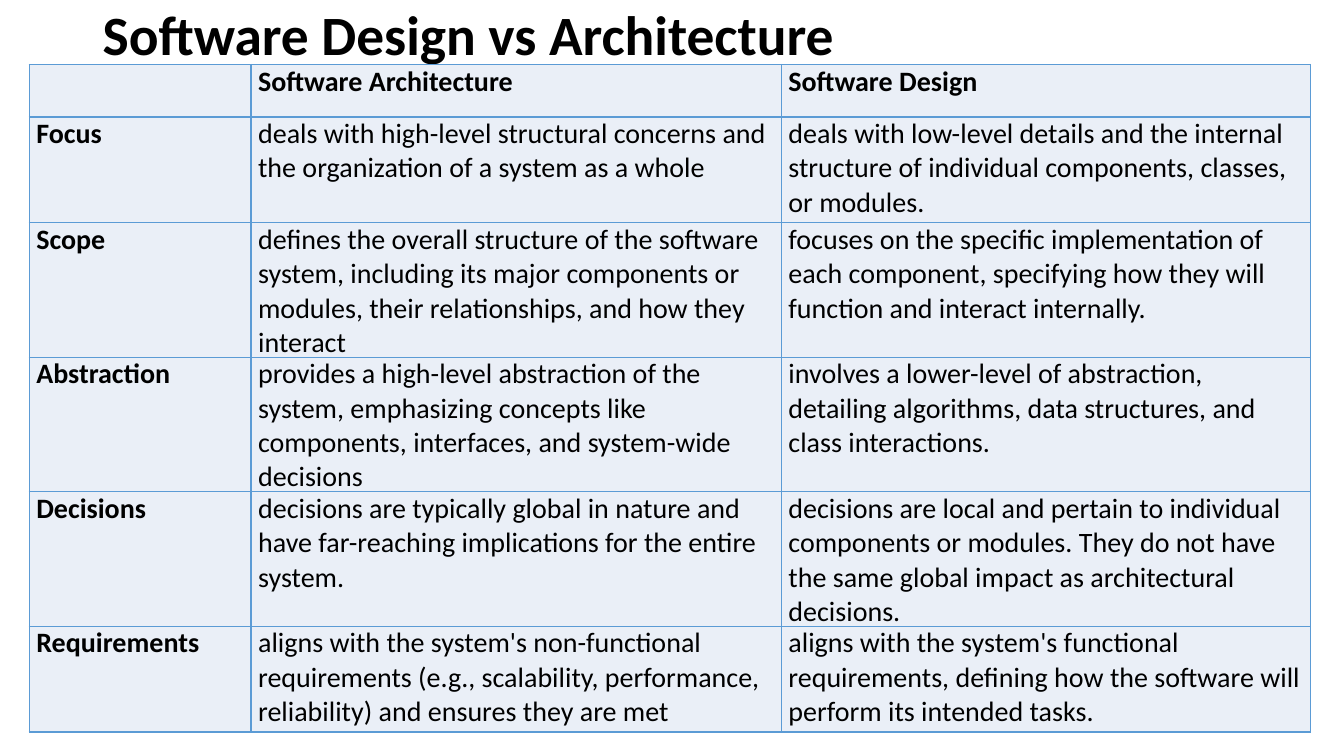
from dataclasses import dataclass

from lxml.etree import SubElement
from pptx import Presentation
from pptx.dml.color import RGBColor
from pptx.enum.text import MSO_ANCHOR
from pptx.oxml.ns import qn
from pptx.util import Inches, Pt

TITLE = "Software Design vs Architecture"
COMPARISON = [
    ("", "Software Architecture", "Software Design"),
    ("Focus",
     "deals with high-level structural concerns and the organization of a system as a whole",
     "deals with low-level details and the internal structure of individual components, "
     "classes, or modules."),
    ("Scope",
     "defines the overall structure of the software system, including its major components "
     "or modules, their relationships, and how they interact",
     "focuses on the specific implementation of each component, specifying how they will "
     "function and interact internally."),
    ("Abstraction",
     "provides a high-level abstraction of the system, emphasizing concepts like "
     "components, interfaces, and system-wide decisions",
     "involves a lower-level of abstraction, detailing algorithms, data structures, and "
     "class interactions."),
    ("Decisions",
     "decisions are typically global in nature and have far-reaching implications for the "
     "entire system.",
     "decisions are local and pertain to individual components or modules. They do not have "
     "the same global impact as architectural decisions."),
    ("Requirements",
     "aligns with the system's non-functional requirements (e.g., scalability, performance, "
     "reliability) and ensures they are met",
     "aligns with the system's functional requirements, defining how the software will "
     "perform its intended tasks."),
]

SLIDE_SIZE = (13.33, 7.5)
TITLE_BOX = (0.92, 0.11, 11.5, 0.53)
TABLE_ORIGIN = (0.29, 0.64)
COLUMN_WIDTHS = (2.2, 5.26, 5.25)
ROW_HEIGHTS = (0.52, 1.05, 1.2, 1.16, 1.16, 1.05)
CELL_INSET = 0.07


@dataclass(frozen=True)
class Theme:
    font: str = "Calibri"
    text: str = "000000"
    cell: str = "EAEFF7"
    border: str = "5B9BD5"
    title_size: float = 39.6
    table_size: float = 20
    border_width: float = 1


THEME = Theme()


def write_text(frame, text, *, size, bold=False, line_spacing=None):
    frame.word_wrap = True
    paragraph = frame.paragraphs[0]
    paragraph.line_spacing = line_spacing
    font = paragraph.font
    if text:
        run = paragraph.add_run()
        run.text = text
        font = run.font
    font.name = THEME.font
    font.size = Pt(size)
    font.bold = bold
    font.color.rgb = RGBColor.from_string(THEME.text)


def style_cell(cell):
    """Set the insets, the four borders and the fill of a table cell."""
    cell.margin_left = cell.margin_right = Inches(CELL_INSET)
    cell.margin_top = cell.margin_bottom = 0
    properties = cell._tc.get_or_add_tcPr()
    for side in ("a:lnL", "a:lnR", "a:lnT", "a:lnB"):
        line = SubElement(properties, qn(side), w=str(Pt(THEME.border_width)))
        line_fill = SubElement(line, qn("a:solidFill"))
        SubElement(line_fill, qn("a:srgbClr"), val=THEME.border)
    cell.fill.solid()
    cell.fill.fore_color.rgb = RGBColor.from_string(THEME.cell)


def add_title(slide):
    frame = slide.shapes.add_textbox(*map(Inches, TITLE_BOX)).text_frame
    frame.vertical_anchor = MSO_ANCHOR.MIDDLE
    write_text(frame, TITLE, size=THEME.title_size, bold=True, line_spacing=0.9)


def add_comparison(slide):
    size = (sum(COLUMN_WIDTHS), sum(ROW_HEIGHTS))
    table = slide.shapes.add_table(
        len(ROW_HEIGHTS), len(COLUMN_WIDTHS), *map(Inches, TABLE_ORIGIN + size)
    ).table
    table.first_row = table.horz_banding = False
    for column, width in zip(table.columns, COLUMN_WIDTHS):
        column.width = Inches(width)
    for row, height in zip(table.rows, ROW_HEIGHTS):
        row.height = Inches(height)
    for row_index, texts in enumerate(COMPARISON):
        for column_index, text in enumerate(texts):
            cell = table.cell(row_index, column_index)
            style_cell(cell)
            is_heading = row_index == 0 or column_index == 0
            write_text(cell.text_frame, text, size=THEME.table_size, bold=is_heading)


def main():
    presentation = Presentation()
    presentation.slide_width, presentation.slide_height = map(Inches, SLIDE_SIZE)
    slide = presentation.slides.add_slide(presentation.slide_layouts[6])
    add_title(slide)
    add_comparison(slide)
    presentation.save("out.pptx")


if __name__ == "__main__":
    main()
